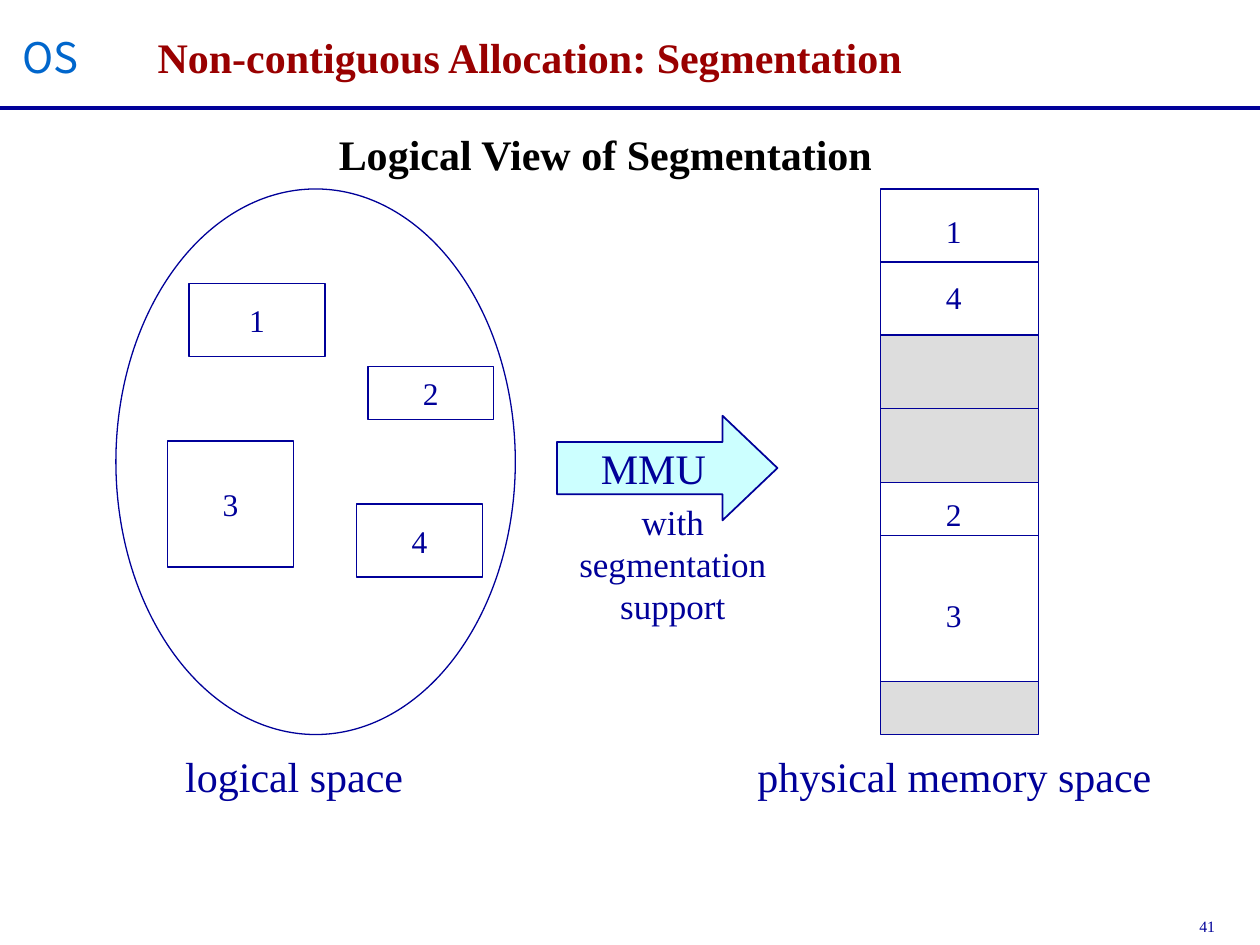
import pptx
import pptx.util
import pptx.dml.color
import pptx.enum.shapes
import pptx.enum.text
import pptx.oxml.ns
import lxml.etree

Inches = pptx.util.Inches
Color = pptx.dml.color.RGBColor
Shape = pptx.enum.shapes.MSO_SHAPE
Align = pptx.enum.text.PP_ALIGN
Anchor = pptx.enum.text.MSO_ANCHOR

NAVY = Color(0x00, 0x00, 0x99)
RED = Color(0x99, 0x00, 0x00)
BLUE = Color(0x00, 0x66, 0xCC)
BLACK = Color(0x00, 0x00, 0x00)
WHITE = Color(0xFF, 0xFF, 0xFF)
GRAY = Color(0xDD, 0xDD, 0xDD)
CYAN = Color(0xCC, 0xFF, 0xFF)

deck = pptx.Presentation()
deck.slide_width, deck.slide_height = Inches(10), Inches(7.5)
slide = deck.slides.add_slide(deck.slide_layouts[5])
shapes = slide.shapes


def write(item, text, size=18, color=NAVY, bold=False, font="Times New Roman",
          align=Align.CENTER, anchor=Anchor.MIDDLE, wrap=False):
    frame = item.text_frame
    frame.auto_size = pptx.enum.text.MSO_AUTO_SIZE.NONE
    frame.word_wrap = wrap
    frame.vertical_anchor = anchor
    para = frame.paragraphs[0]
    para.alignment = align
    run = para.add_run()
    run.text = text
    run.font.name = font
    run.font.size = pptx.util.Pt(size)
    run.font.bold = bold
    run.font.color.rgb = color


def style(item, fill=None, width=0.75):
    item.line.color.rgb = NAVY
    item.line.width = pptx.util.Pt(width)
    if fill is None:
        lxml.etree.SubElement(item.line._get_or_add_ln().getparent(),
                              pptx.oxml.ns.qn("a:effectLst"))
    else:
        item.shadow.inherit = False
        item.fill.solid()
        item.fill.fore_color.rgb = fill


# Title
title = shapes.title
title.left, title.top = Inches(1.15), Inches(0.2)
title.width, title.height = Inches(6.12), Inches(0.5)
write(title, "Non-contiguous Allocation: Segmentation", size=24, color=RED,
      bold=True, align=Align.LEFT, anchor=Anchor.TOP)

# Header rule
rule = shapes.add_connector(pptx.enum.shapes.MSO_CONNECTOR.STRAIGHT,
                            0, Inches(0.86), Inches(10), Inches(0.86))
style(rule, width=2.25)

# Logical space with its segments
oval = shapes.add_shape(Shape.OVAL, Inches(0.92), Inches(1.5),
                        Inches(3.17), Inches(4.33))
style(oval, WHITE)
for name, x, y, w, h in [("1", 1.5, 2.25, 1.08, 0.58), ("3", 1.33, 3.5, 1, 1),
                         ("2", 2.92, 2.91, 1, 0.42), ("4", 2.83, 4, 1, 0.58)]:
    box = shapes.add_shape(Shape.RECTANGLE, Inches(x), Inches(y),
                           Inches(w), Inches(h))
    style(box, WHITE)
    write(box, name)

# Physical memory: blocks, each cut by a divider where one is given
left, right = Inches(6.99), Inches(8.24)
for y, h, fill, cut in [(1.5, 1.16, WHITE, 2.08), (2.66, 1.17, GRAY, 3.25),
                        (3.83, 1.58, WHITE, 4.25), (5.41, 0.42, GRAY, None)]:
    block = shapes.add_shape(Shape.RECTANGLE, left, Inches(y),
                             right - left, Inches(h))
    style(block, fill)
    if cut:
        line = shapes.add_connector(pptx.enum.shapes.MSO_CONNECTOR.STRAIGHT,
                                    left, Inches(cut), right, Inches(cut))
        if abs(y + h / 2 - cut) < 0.01:
            line.begin_connect(block, 1)
            line.end_connect(block, 3)
        style(line)

# Memory labels
for name, y in [("1", 1.63), ("4", 2.16), ("2", 3.88), ("3", 4.68)]:
    write(shapes.add_textbox(Inches(7.41), Inches(y), Inches(0.32),
                             Inches(0.4)), name)

# Translation arrow
arrow = shapes.add_shape(Shape.RIGHT_ARROW, Inches(4.42), Inches(3.3),
                         Inches(1.75), Inches(0.83))
arrow.adjustments[0], arrow.adjustments[1] = 0.5, 0.525
style(arrow, CYAN, 1)
write(arrow, "MMU", size=24)

# Captions, heading, course mark and page number
head = dict(align=Align.LEFT, anchor=Anchor.TOP)
for text, x, y, w, h, form in [
    ("logical space", 1.33, 5.91, 2.01, 0.5, dict(size=24)),
    ("physical memory space", 5.91, 5.91, 3.33, 0.5, dict(size=24)),
    ("with segmentation support", 4.25, 3.92, 2.18, 1.1,
     dict(size=20, anchor=Anchor.TOP, wrap=True)),
    ("Logical View of Segmentation", 2.59, 0.97, 4.45, 0.5,
     dict(head, size=24, color=BLACK, bold=True)),
    ("OS", 0.08, 0.2, 0.39, 0.58,
     dict(head, size=24, color=BLUE, font="Noto Sans CJK SC")),
    ("41", 9.42, 7.23, 0.72, 0.25, dict(head, size=9)),
]:
    write(shapes.add_textbox(Inches(x), Inches(y), Inches(w), Inches(h)),
          text, **form)

deck.save("out.pptx")
